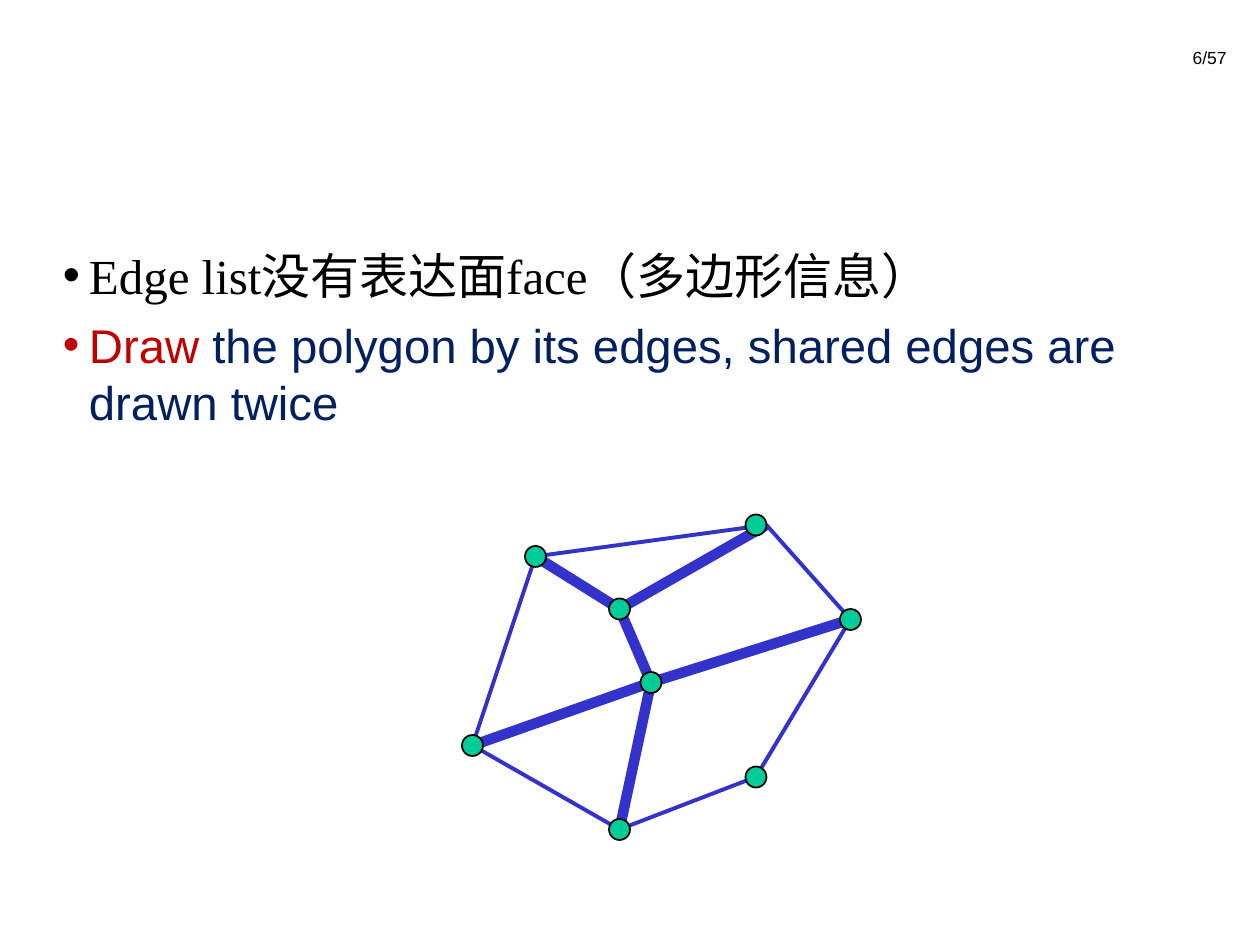
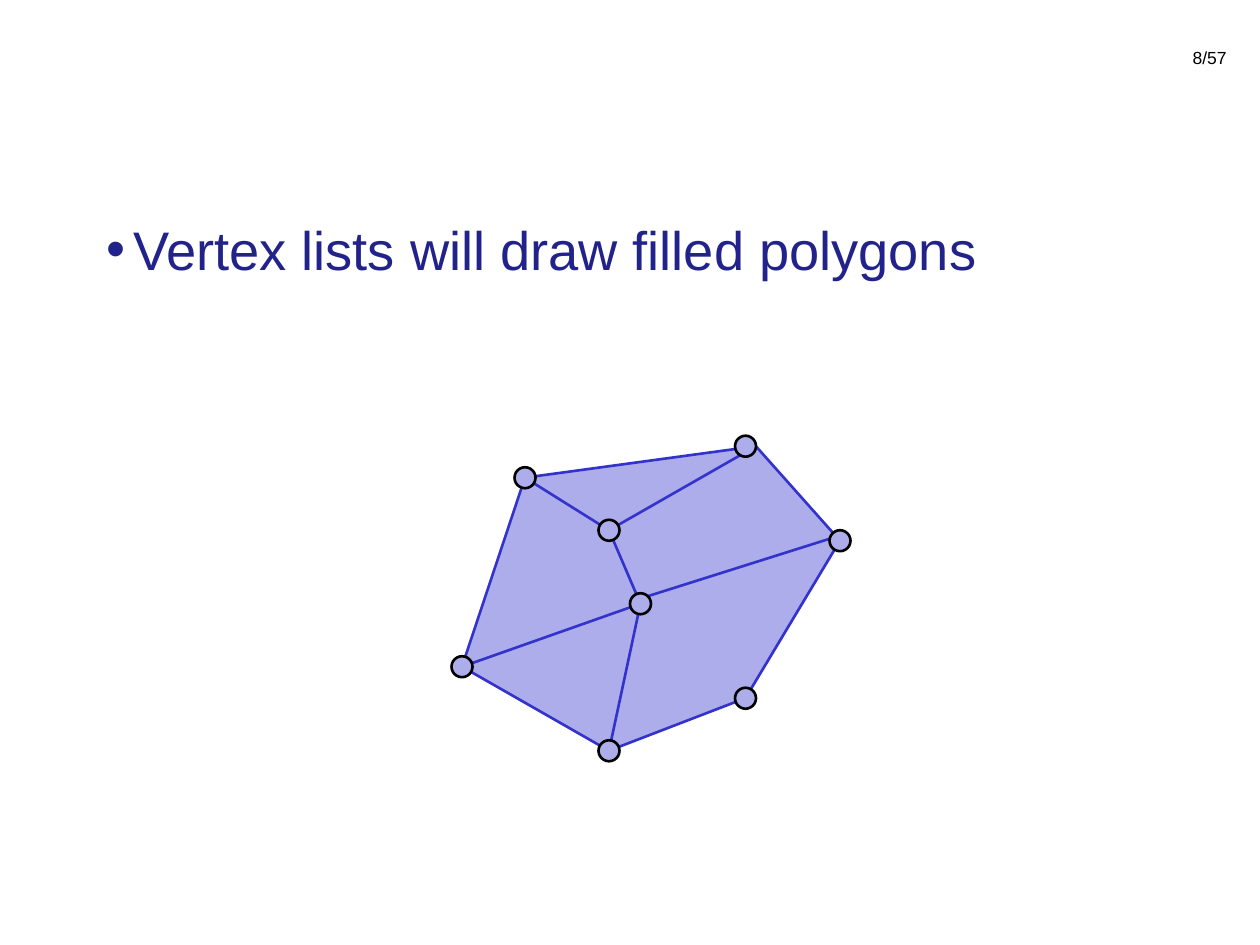
from lxml import etree
from pptx import Presentation
from pptx.dml.color import RGBColor
from pptx.enum.shapes import MSO_CONNECTOR, MSO_SHAPE
from pptx.enum.text import MSO_ANCHOR, PP_ALIGN
from pptx.oxml.ns import qn
from pptx.util import Pt

STRAIGHT, OVAL = MSO_CONNECTOR.STRAIGHT, MSO_SHAPE.OVAL
TOP, MIDDLE = MSO_ANCHOR.TOP, MSO_ANCHOR.MIDDLE
RIGHT = PP_ALIGN.RIGHT

COLORS = {
    "black": "000000", "red": "C00000", "navy": "002060", "indigo": "22228B",
    "edge": "3333CC", "green": "00CC99", "lilac": "ADADEB",
}
SLIDE_SIZE = (720, 540)
PAGE_BOX = (660, 18, 48, 30)
BULLET_INDENT = 15
VERTEX_SIZE = 12

# Mesh geometry, relative to the top left of the mesh
VERTICES = {
    "west": (0, 126), "northwest": (36, 18), "hub": (102, 90), "south": (84, 174),
    "southeast": (162, 144), "inner": (84, 48), "east": (216, 54), "north": (162, 0),
}
NORTH_CORNER = (168, 0)
CORNERS = {**VERTICES, "north": NORTH_CORNER}
OUTLINE = ("west", "northwest", "north", "east", "southeast", "south")
SHARED_EDGES = (("west", "hub"), ("hub", "south"), ("hub", "east"),
                ("hub", "inner"), ("inner", "north"), ("inner", "northwest"))


def rgb(name):
    return RGBColor.from_string(COLORS[name])


def set_format(target, values):
    for attribute, value in values.items():
        setattr(target, attribute, value)


def paint(shape, fill, line, width):
    """Fill and outline a shape; a fill of None leaves it hollow."""
    shape.shadow.inherit = False
    if fill:
        shape.fill.solid()
        shape.fill.fore_color.rgb = rgb(fill)
    else:
        shape.fill.background()
    shape.line.color.rgb = rgb(line)
    shape.line.width = Pt(width)


def add_text_frame(slide, box, anchor=TOP):
    frame = slide.shapes.add_textbox(*map(Pt, box)).text_frame
    set_format(frame, {
        "word_wrap": True, "vertical_anchor": anchor,
        "margin_left": Pt(7.2), "margin_right": Pt(7.2),
        "margin_top": Pt(3.6), "margin_bottom": Pt(3.6),
    })
    return frame


def add_run(paragraph, text, font, size, color):
    run = paragraph.add_run()
    run.text = text
    set_format(run.font, {"name": font, "size": Pt(size)})
    run.font.color.rgb = rgb(color)


def add_bullet(paragraph, color):
    properties = paragraph._p.get_or_add_pPr()
    properties.set("marL", str(Pt(BULLET_INDENT)))
    properties.set("indent", str(-Pt(BULLET_INDENT)))
    bullet_color = etree.SubElement(properties, qn("a:buClr"))
    etree.SubElement(bullet_color, qn("a:srgbClr"), val=COLORS[color])
    etree.SubElement(properties, qn("a:buFont"), typeface="Arial")
    etree.SubElement(properties, qn("a:buChar"), char="•")


def add_bullet_list(slide, box, items):
    """Each item is (font, size, [(text, color), ...])."""
    frame = add_text_frame(slide, box)
    for index, (font, size, pieces) in enumerate(items):
        paragraph = frame.add_paragraph() if index else frame.paragraphs[0]
        add_bullet(paragraph, pieces[0][1])
        if index:
            paragraph.space_before = Pt(size / 4)
        for text, color in pieces:
            add_run(paragraph, text, font, size, color)


def add_page_number(slide, box, label):
    paragraph = add_text_frame(slide, box, MIDDLE).paragraphs[0]
    paragraph.alignment = RIGHT
    add_run(paragraph, label, "Arial", 10, "black")


def add_mesh(slide, origin, face, outline_width, shared_width,
             vertex_fill, vertex_width, east_edge_lift=0):
    left, top = origin
    mesh = slide.shapes.add_group_shape().shapes

    def place(point, lift=0):
        return Pt(left + point[0]), Pt(top + point[1] - lift)

    # Outer polygon
    first, *rest = [place(CORNERS[name]) for name in OUTLINE]
    builder = mesh.build_freeform(*first)
    builder.add_line_segments(rest, close=True)
    paint(builder.convert_to_shape(), face, "edge", outline_width)

    # Edges shared by two faces
    for start, end in SHARED_EDGES:
        lift = east_edge_lift if end == "east" else 0
        edge = mesh.add_connector(STRAIGHT, *place(CORNERS[start], lift),
                                  *place(CORNERS[end], lift))
        edge.line.color.rgb = rgb("edge")
        edge.line.width = Pt(shared_width)
        etree.SubElement(edge._element.spPr, qn("a:effectLst"))

    # Vertices
    for x, y in VERTICES.values():
        corner = place((x - VERTEX_SIZE / 2, y - VERTEX_SIZE / 2))
        vertex = mesh.add_shape(OVAL, *corner, Pt(VERTEX_SIZE), Pt(VERTEX_SIZE))
        paint(vertex, vertex_fill, "black", vertex_width)


def add_polygon_slide(deck, page, text_box, items, mesh_format):
    slide = deck.slides.add_slide(deck.slide_layouts[6])
    add_bullet_list(slide, text_box, items)
    add_mesh(slide, **mesh_format)
    add_page_number(slide, PAGE_BOX, page)


def main():
    deck = Presentation()
    deck.slide_width, deck.slide_height = map(Pt, SLIDE_SIZE)

    # Edge list: shared edges stand out
    add_polygon_slide(
        deck, "6/57", (28.8, 136.8, 651, 127.4),
        [("Times New Roman", 28, [("Edge list没有表达面face（多边形信息）", "black")]),
         ("Arial", 27, [("Draw", "red"),
                        (" the polygon by its edges, shared edges are drawn twice",
                         "navy")])],
        {"origin": (270, 300), "face": None, "outline_width": 2.25,
         "shared_width": 6, "vertex_fill": "green", "vertex_width": 1})

    # Vertex list: filled faces
    add_polygon_slide(
        deck, "8/57", (54, 120, 612, 48),
        [("Arial", 31, [("Vertex lists will draw filled polygons", "indigo")])],
        {"origin": (264, 255), "face": "lilac", "outline_width": 1.5,
         "shared_width": 1.5, "vertex_fill": "lilac", "vertex_width": 1.5,
         "east_edge_lift": 3})

    deck.save("out.pptx")


if __name__ == "__main__":
    main()
